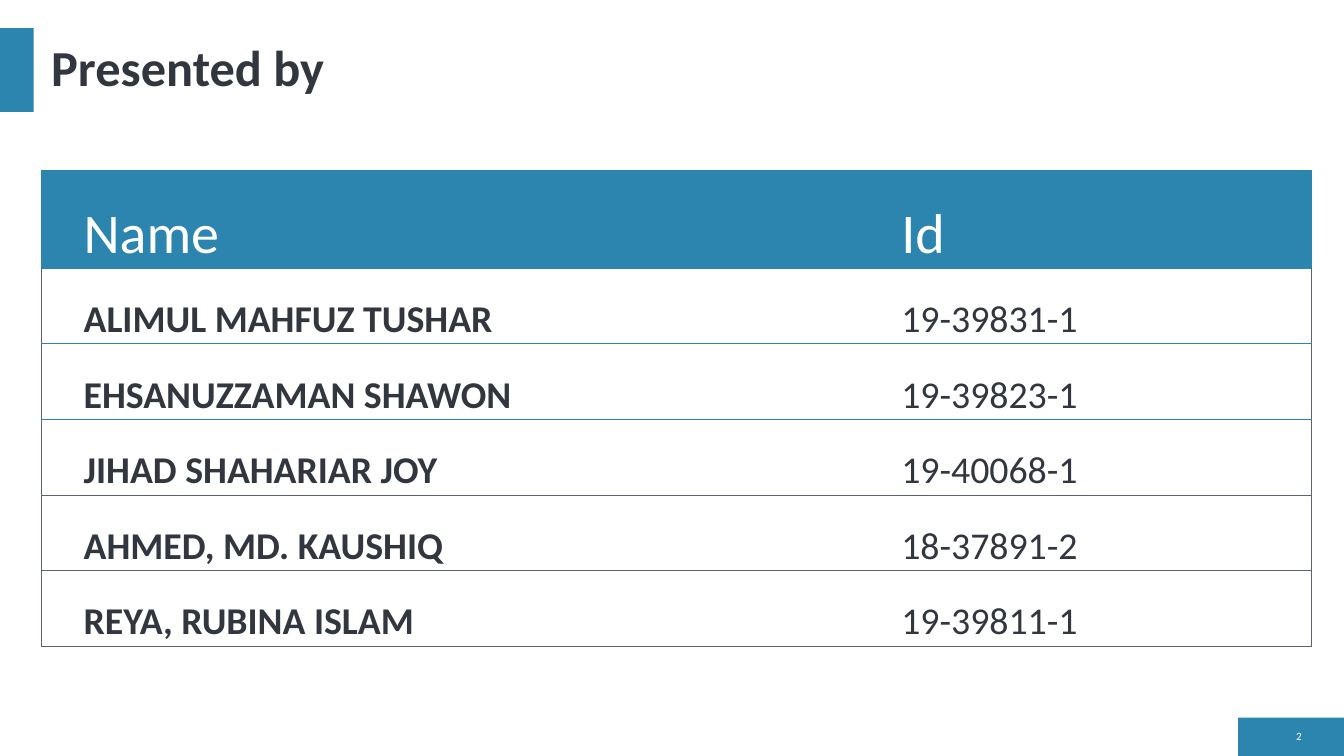
from lxml import etree
from pptx import Presentation
from pptx.dml.color import RGBColor
from pptx.enum.shapes import MSO_SHAPE
from pptx.enum.text import MSO_ANCHOR, PP_ALIGN
from pptx.oxml.ns import qn
from pptx.util import Inches, Pt

RECTANGLE = MSO_SHAPE.RECTANGLE
TOP, MIDDLE = MSO_ANCHOR.TOP, MSO_ANCHOR.MIDDLE
LEFT, RIGHT = PP_ALIGN.LEFT, PP_ALIGN.RIGHT

BLUE = RGBColor(0x2C, 0x85, 0xAE)
INK = RGBColor(0x32, 0x36, 0x3F)
SLATE = RGBColor(0x5B, 0x63, 0x70)
WHITE = RGBColor(0xFF, 0xFF, 0xFF)

FONT = "Calibri"
SLIDE_WIDTH, SLIDE_HEIGHT = 13.33, 7.5
MARGIN = 0.41
CONTENT_WIDTH = 12.6
NAME_SHARE = 8.11 / CONTENT_WIDTH
HEADER_HEIGHT, ROW_HEIGHT = 0.97, 0.75
RULE_WIDTH = 0.5

HEADER = ("Name", "Id")
PRESENTERS = [
    ("ALIMUL MAHFUZ TUSHAR", "19-39831-1"),
    ("EHSANUZZAMAN SHAWON", "19-39823-1"),
    ("JIHAD SHAHARIAR JOY", "19-40068-1"),
    ("AHMED, MD. KAUSHIQ", "18-37891-2"),
    ("REYA, RUBINA ISLAM", "19-39811-1"),
]
# Colour of the rule under the header and under each presenter
ROW_RULES = [BLUE, BLUE, BLUE, SLATE, SLATE, SLATE]


def write_text(frame, text, size, color=INK, bold=False, align=LEFT,
               spacing=0.9, after=0):
    frame.word_wrap = True
    para = frame.paragraphs[0]
    para.alignment = align
    para.line_spacing = spacing
    para.space_after = Pt(after)
    span = para.add_run()
    span.text = text
    span.font.name = FONT
    span.font.size = Pt(size)
    span.font.bold = bold
    span.font.color.rgb = color


def add_text(page, box, text, size, **text_format):
    frame = page.shapes.add_textbox(*map(Inches, box)).text_frame
    frame.margin_left = frame.margin_right = Inches(0.1)
    frame.margin_top = frame.margin_bottom = 0
    frame.vertical_anchor = MIDDLE
    write_text(frame, text, size, **text_format)


def add_block(page, box):
    block = page.shapes.add_shape(RECTANGLE, *map(Inches, box))
    block.shadow.inherit = False
    block.fill.solid()
    block.fill.fore_color.rgb = BLUE
    block.line.fill.background()


def set_border(cell, side, color):
    """Draw one side of a cell, or hide it when color is None."""
    line = etree.SubElement(cell._tc.get_or_add_tcPr(), qn(f"a:ln{side}"),
                            w=str(Pt(RULE_WIDTH)))
    if color is None:
        etree.SubElement(line, qn("a:noFill"))
    else:
        fill = etree.SubElement(line, qn("a:solidFill"))
        etree.SubElement(fill, qn("a:srgbClr"), val=str(color))


def style_cell(cell, row, column):
    is_header = row == 0
    edge = BLUE if is_header else SLATE
    set_border(cell, "L", edge if column == 0 else None)
    set_border(cell, "R", None if column == 0 else edge)
    set_border(cell, "T", BLUE if is_header else ROW_RULES[row - 1])
    set_border(cell, "B", ROW_RULES[row])
    cell.fill.solid()
    cell.fill.fore_color.rgb = BLUE if is_header else WHITE
    cell.margin_left = cell.margin_right = Inches(0.42)
    cell.margin_top, cell.margin_bottom = Inches(0.25), 0
    cell.vertical_anchor = MIDDLE if is_header else TOP


def add_title(page, box):
    left, top, width, height = box
    add_block(page, (0, top, SLIDE_WIDTH / 40, height))
    add_text(page, (left, top, width, height), "Presented by", 36, bold=True)


def add_presenters(page, box):
    width = box[2]
    rows = [HEADER, *PRESENTERS]
    table = page.shapes.add_table(len(rows), 2, *map(Inches, box)).table
    table.first_row = table.horz_banding = False
    table.columns[0].width = Inches(width * NAME_SHARE)
    table.columns[1].width = Inches(width * (1 - NAME_SHARE))
    for row, values in enumerate(rows):
        is_header = row == 0
        table.rows[row].height = Inches(HEADER_HEIGHT if is_header else ROW_HEIGHT)
        for column, value in enumerate(values):
            cell = table.cell(row, column)
            style_cell(cell, row, column)
            write_text(cell.text_frame, value, 40 if is_header else 27,
                       color=WHITE if is_header else INK,
                       bold=not is_header and column == 0, spacing=1.07)


def add_page_number(page, box):
    add_block(page, box)
    left, top = box[:2]
    add_text(page, (left + 0.32, top + 0.08, 0.41, 0.23), "2", 8,
             color=WHITE, align=RIGHT, after=6)


def main():
    deck = Presentation()
    deck.slide_width, deck.slide_height = Inches(SLIDE_WIDTH), Inches(SLIDE_HEIGHT)
    page = deck.slides.add_slide(deck.slide_layouts[6])
    table_height = HEADER_HEIGHT + ROW_HEIGHT * len(PRESENTERS)
    add_page_number(page, (12.28, 7.12, 1.05, 0.38))
    add_title(page, (MARGIN, 0.28, CONTENT_WIDTH, 0.83))
    add_presenters(page, (MARGIN, 1.69, CONTENT_WIDTH, table_height))
    deck.save("out.pptx")


if __name__ == "__main__":
    main()
